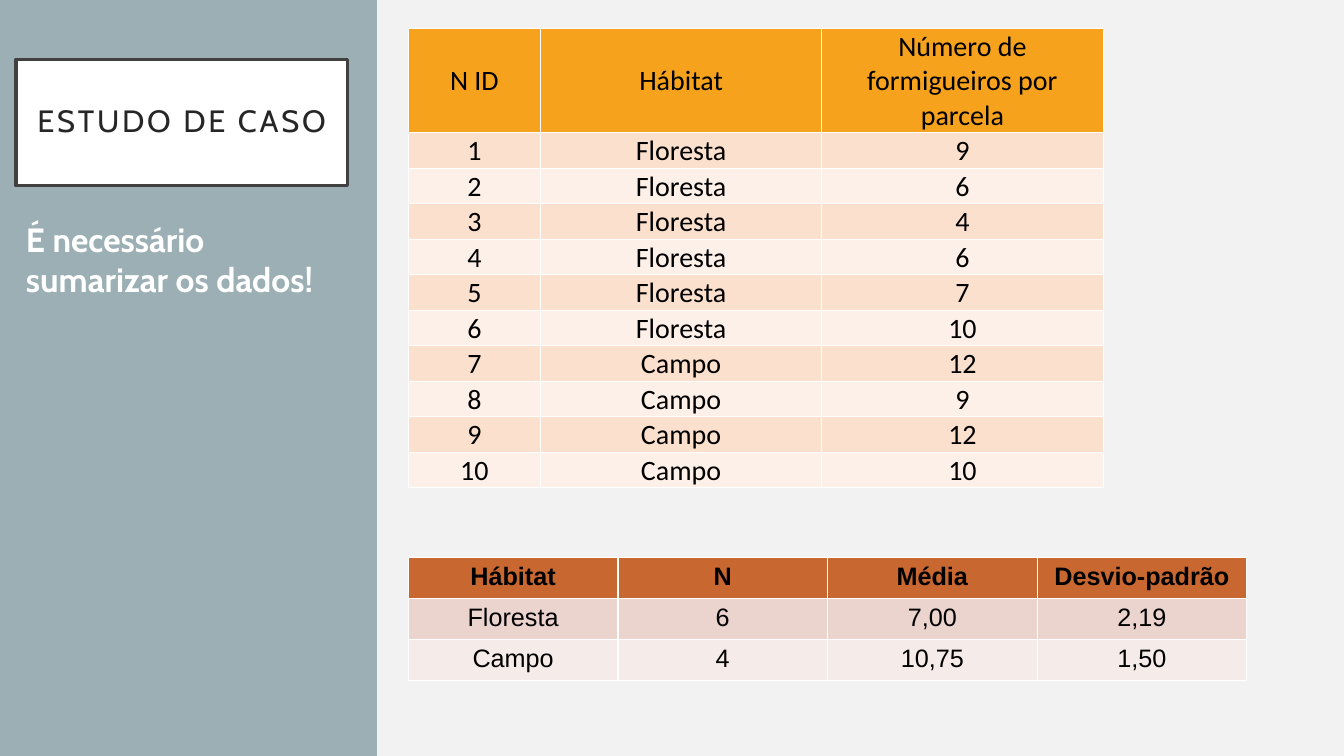
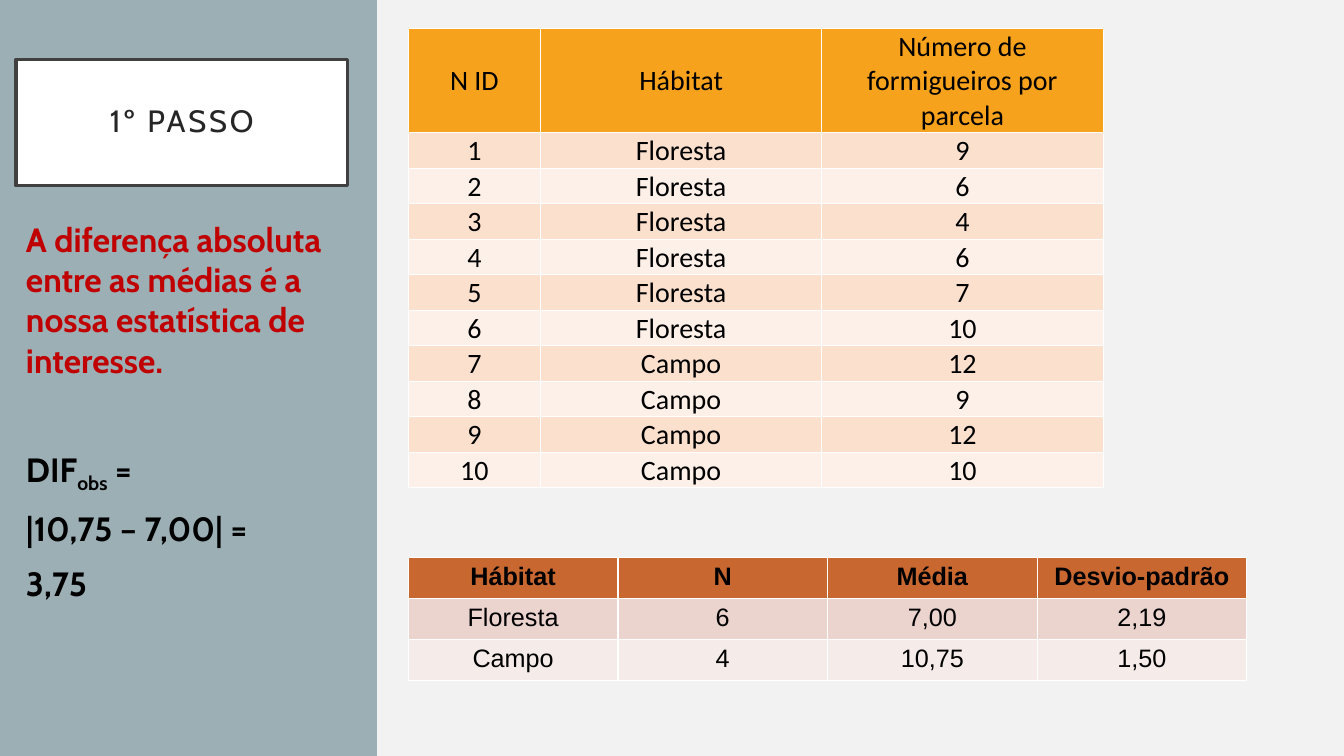
import dataclasses

import pptx
import pptx.dml.color
import pptx.enum.shapes
import pptx.enum.text
import pptx.oxml
import pptx.util

Cm = pptx.util.Cm
Pt = pptx.util.Pt


def rgb(code):
    """Return the colour for a RRGGBB code."""
    return pptx.dml.color.RGBColor.from_string(code)


@dataclasses.dataclass(frozen=True)
class Theme:
    """Colours, fonts and type sizes shared by the slides."""
    background: str = "F2F2F2"
    panel: str = "9BAFB5"
    white: str = "FFFFFF"
    black: str = "000000"
    red: str = "C00000"
    title_text: str = "262626"
    title_line: str = "404040"
    font: str = "Cabin"
    title_size: int = 22
    body_size: int = 24


@dataclasses.dataclass(frozen=True)
class TableStyle:
    """Look of one kind of table."""
    header: str
    bands: tuple
    font: str
    size: int
    bold_header: bool
    margins: tuple
    anchor: object


@dataclasses.dataclass(frozen=True)
class Box:
    """A rectangle in centimetres."""
    left: float
    top: float
    width: float
    height: float

    def inset(self, left, top, width, height):
        """Return a box placed relative to this one."""
        return Box(self.left + left, self.top + top, width, height)

    def lengths(self):
        """Return left, top, width and height as lengths."""
        return [Cm(value) for value in dataclasses.astuple(self)]


THEME = Theme()
SLIDE = Box(0, 0, 33.87, 19.05)
PANEL = Box(0, 0, 9.5, 19.05)
CONTENT = Box(10.29, 0.72, 21.13, 16.43)
DATA_STYLE = TableStyle("F6A21D", ("FBE0CD", "FDF0E8"), "Calibri", 20, False,
                        (0.03, 0.03, 0.03, 0), pptx.enum.text.MSO_ANCHOR.MIDDLE)
SUMMARY_STYLE = TableStyle("C96731", ("EBD3CE", "F5EBE8"), "Arial", 18, True,
                           (0.25, 0.13, 0.25, 0.13), pptx.enum.text.MSO_ANCHOR.TOP)

COUNTS = [("Floresta", (9, 6, 4, 6, 7, 10)), ("Campo", (12, 9, 12, 10))]
PLOTS = [(habitat, count) for habitat, counts in COUNTS for count in counts]
DATA_ROWS = [("N ID", "Hábitat", "Número de formigueiros por parcela")] + [
    (str(number), habitat, str(count))
    for number, (habitat, count) in enumerate(PLOTS, 1)]
SUMMARY_ROWS = [("Hábitat", "N", "Média", "Desvio-padrão"),
                ("Floresta", "6", "7,00", "2,19"),
                ("Campo", "4", "10,75", "1,50")]


def add_run(paragraph, text, font, size, color, bold=False):
    """Add one formatted run and return it."""
    run = paragraph.add_run()
    run.text = text
    run.font.name = font
    run.font.size = Pt(size)
    run.font.bold = bold
    run.font.color.rgb = rgb(color)
    return run


def set_margins(target, margins):
    """Set left, top, right and bottom margins in centimetres."""
    for side, margin in zip(("left", "top", "right", "bottom"), margins):
        setattr(target, f"margin_{side}", Cm(margin))


def place(shape, box):
    """Move a shape to a box."""
    shape.left, shape.top, shape.width, shape.height = box.lengths()


def style_layout(layout, slide, box):
    """Give the layout its background and side panel."""
    layout.background.fill.solid()
    layout.background.fill.fore_color.rgb = rgb(THEME.background)
    tree = layout.shapes.element
    for placeholder in list(layout.placeholders):
        if placeholder.placeholder_format.idx >= 10:
            tree.remove(placeholder.element)
    panel = slide.shapes.add_shape(
        pptx.enum.shapes.MSO_SHAPE.RECTANGLE, *box.lengths())
    panel.shadow.inherit = False
    panel.fill.solid()
    panel.fill.fore_color.rgb = rgb(THEME.panel)
    panel.line.fill.background()
    tree.insert(2, panel.element)


def fill_title(title, text, box):
    """Format the framed title and write its text."""
    place(title, box)
    title.fill.solid()
    title.fill.fore_color.rgb = rgb(THEME.white)
    title.line.color.rgb = rgb(THEME.title_line)
    title.line.width = Pt(2.5)
    frame = title.text_frame
    frame.word_wrap = True
    frame.auto_size = pptx.enum.text.MSO_AUTO_SIZE.NONE
    frame.vertical_anchor = pptx.enum.text.MSO_ANCHOR.MIDDLE
    set_margins(frame, (0.5,) * 4)
    paragraph = frame.paragraphs[0]
    paragraph.alignment = pptx.enum.text.PP_ALIGN.CENTER
    paragraph.line_spacing = 0.9
    run = add_run(paragraph, text, THEME.font, THEME.title_size, THEME.title_text)
    run.font._element.set("spc", "200")


def fill_body(body, paragraphs, box):
    """Write unbulleted paragraphs given as space before, colour and runs."""
    place(body, box)
    frame = body.text_frame
    frame.word_wrap = True
    frame.auto_size = pptx.enum.text.MSO_AUTO_SIZE.NONE
    for index, (space, color, runs) in enumerate(paragraphs):
        paragraph = frame.add_paragraph() if index else frame.paragraphs[0]
        paragraph.space_before = Pt(space)
        properties = paragraph._p.get_or_add_pPr()
        properties.set("marL", "0")
        properties.set("indent", "0")
        properties.append(pptx.oxml.parse_xml(
            '<a:buNone xmlns:a="http://schemas.openxmlformats.org/drawingml/2006/main"/>'))
        for text, baseline in runs:
            run = add_run(paragraph, text, THEME.font, THEME.body_size, color, True)
            if baseline:
                run.font._element.set("baseline", str(baseline * 1000))


def add_data_table(slide, rows, style, box, column_widths, header_height):
    """Add a banded table with a coloured header row."""
    table = slide.shapes.add_table(
        len(rows), len(column_widths), *box.lengths()).table
    for column, width in zip(table.columns, column_widths):
        column.width = Cm(width)
    row_height = (box.height - header_height) / (len(rows) - 1)
    for row_index, texts in enumerate(rows):
        is_header = row_index == 0
        table.rows[row_index].height = Cm(header_height if is_header else row_height)
        color = style.header if is_header else style.bands[(row_index - 1) % 2]
        for column_index, text in enumerate(texts):
            cell = table.cell(row_index, column_index)
            cell.fill.solid()
            cell.fill.fore_color.rgb = rgb(color)
            cell.vertical_anchor = style.anchor
            set_margins(cell, style.margins)
            paragraph = cell.text_frame.paragraphs[0]
            paragraph.alignment = pptx.enum.text.PP_ALIGN.CENTER
            add_run(paragraph, text, style.font, style.size, THEME.black,
                    is_header and style.bold_header)


def add_tables(slide, box):
    """Place the plot data above their summary."""
    add_data_table(slide, DATA_ROWS, DATA_STYLE, box.inset(0, 0, 17.51, 11.52),
                   (3.33, 7.09, 7.09), 2.62)
    add_data_table(slide, SUMMARY_ROWS, SUMMARY_STYLE,
                   box.inset(0, 13.33, box.width, 3.1), (box.width / 4,) * 4, 3.1 / 3)


def add_case_slide(presentation, layout, title, paragraphs, body_height):
    """Add a slide with a side text and the two tables."""
    slide = presentation.slides.add_slide(layout)
    fill_title(slide.shapes.title, title, PANEL.inset(0.4, 1.5, 8.36, 3.18))
    fill_body(slide.placeholders[1], paragraphs,
              PANEL.inset(0.4, 5.38, 8.36, body_height))
    add_tables(slide, CONTENT)
    return slide


def main():
    """Build and save the presentation."""
    presentation = pptx.Presentation()
    presentation.slide_width = Cm(SLIDE.width)
    presentation.slide_height = Cm(SLIDE.height)
    layout = presentation.slide_layouts[1]
    case_slide = add_case_slide(
        presentation, layout, "ESTUDO DE CASO",
        [(10, THEME.white, [("É necessário sumarizar os dados!", 0)])], 12.17)
    style_layout(layout, case_slide, PANEL)
    add_case_slide(
        presentation, layout, "1º PASSO",
        [(10, THEME.red, [("A diferença absoluta entre as médias é a nossa "
                           "estatística de interesse.", 0)]),
         (49, THEME.black, [("DIF", 0), ("obs", -25), (" =", 0)]),
         (10, THEME.black, [("|10,75 – 7,00| =", 0)]),
         (10, THEME.black, [("3,75", 0)])], 13.28)
    presentation.save("out.pptx")


if __name__ == "__main__":
    main()
